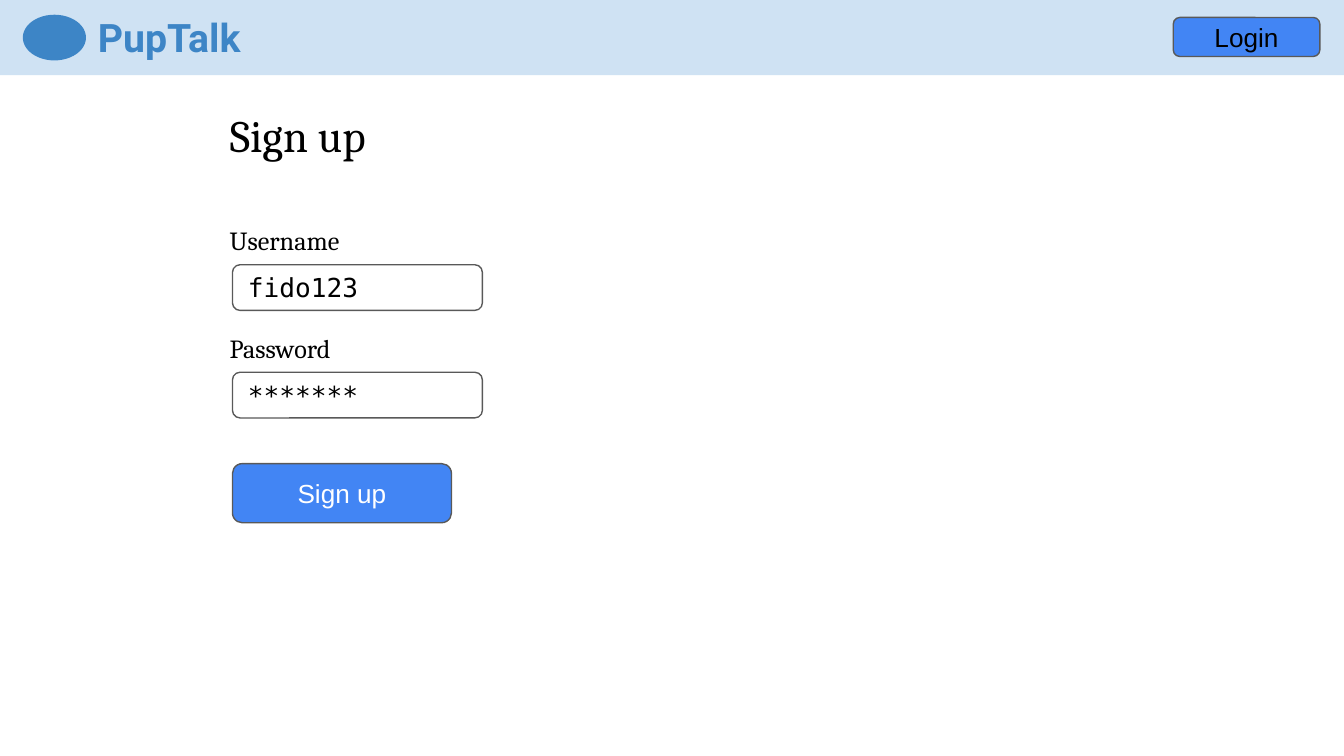
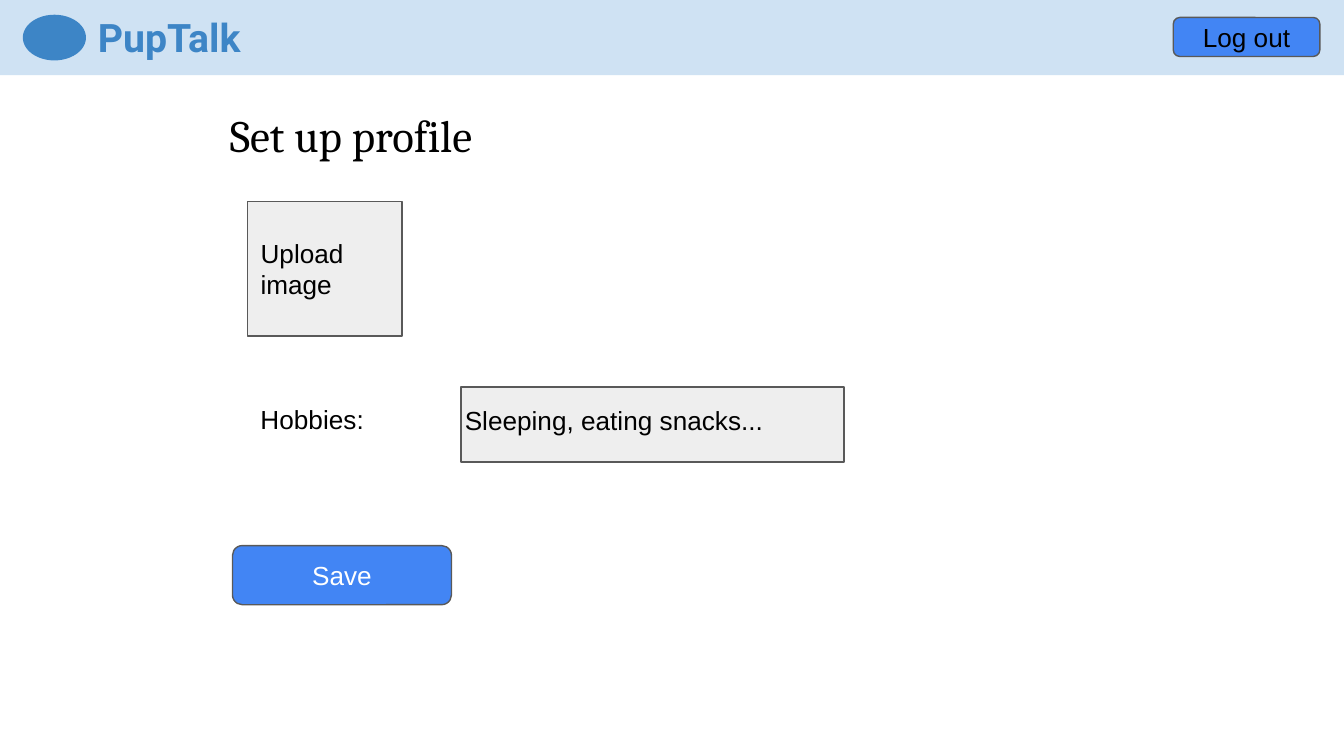
"""Build two wireframe screens of a chat site: sign up and profile set-up."""
from pptx import Presentation
from pptx.dml.color import RGBColor
from pptx.enum.shapes import MSO_SHAPE
from pptx.enum.text import MSO_ANCHOR, MSO_AUTO_SIZE, PP_ALIGN
from pptx.util import Inches, Pt

WIDTH = 10
HEIGHT = WIDTH * 9 / 16
BAND_HEIGHT = 0.56
BRAND = "PupTalk"

SIGN_UP = {
    "title": "Sign up",
    "title_width": 1.69,
    "account": "Login",
    "action": "Sign up",
    "action_top": 3.45,
    "fields": [("Username", "fido123"), ("Password", "*******")],
}
PROFILE = {
    "title": "Set up profile",
    "title_width": 3.55,
    "account": "Log out",
    "action": "Save",
    "action_top": 4.06,
    "upload": "Upload image",
    "hobbies": ("Hobbies:", "Sleeping, eating snacks..."),
}

COLORS = {
    "band": "CFE2F3",
    "brand": "3D85C6",
    "button": "4285F4",
    "outline": "595959",
    "panel": "EEEEEE",
    "white": "FFFFFF",
    "black": "000000",
}
SANS, SERIF, MONO, BRAND_FONT = "Arial", "Cambria", "DejaVu Sans Mono", "Roboto"

TEXT_LEFT, FORM_LEFT, PROFILE_LEFT = 1.61, 1.73, 1.84
LABEL_SIZE = (1.49, 0.44)
FIELD_SIZE = (1.86, 0.34)
ACTION_SIZE = (1.63, 0.44)
FIRST_LABEL_TOP, FIELD_PITCH, LABEL_TO_FIELD = 1.57, 0.8, 0.4


def color(name):
    """Return the named colour."""
    return RGBColor.from_string(COLORS[name])


def write_text(shape, text, font=SANS, size=14, ink="black", bold=False,
               align=PP_ALIGN.LEFT, anchor=MSO_ANCHOR.TOP):
    """Put formatted text into a shape."""
    frame = shape.text_frame
    frame.word_wrap = True
    frame.auto_size = MSO_AUTO_SIZE.NONE
    frame.vertical_anchor = anchor
    frame.margin_left = frame.margin_right = Inches(0.1)
    frame.margin_top = frame.margin_bottom = Inches(0.1)
    paragraph = frame.paragraphs[0]
    paragraph.alignment = align
    run = paragraph.add_run()
    run.text = text
    run.font.name = font
    run.font.size = Pt(size)
    run.font.bold = bold
    run.font.color.rgb = color(ink)


def add_label(slide, box, text, **text_format):
    """Add a text box."""
    label = slide.shapes.add_textbox(*map(Inches, box))
    write_text(label, text, **text_format)


def add_box(slide, box, fill, kind=MSO_SHAPE.RECTANGLE, outline=None,
            text=None, **text_format):
    """Add a filled shape with an optional outline and text."""
    shape = slide.shapes.add_shape(kind, *map(Inches, box))
    shape.shadow.inherit = False
    shape.fill.solid()
    shape.fill.fore_color.rgb = color(fill)
    if outline:
        shape.line.color.rgb = color(outline)
        shape.line.width = Pt(0.75)
    else:
        shape.line.fill.background()
    if text:
        write_text(shape, text, anchor=MSO_ANCHOR.MIDDLE, **text_format)


def add_rounded(slide, box, text, fill="button", **text_format):
    """Add an outlined button or input field."""
    add_box(slide, box, fill, kind=MSO_SHAPE.ROUNDED_RECTANGLE,
            outline="outline", text=text, **text_format)


def add_screen(presentation, content):
    """Add a slide with the shared header, title and action button."""
    slide = presentation.slides.add_slide(presentation.slide_layouts[5])
    add_box(slide, (0, 0, WIDTH, BAND_HEIGHT), "band")
    add_label(slide, (0.63, 0, 5.03, BAND_HEIGHT), BRAND,
              font=BRAND_FONT, size=21, ink="brand", bold=True)
    add_box(slide, (0.17, 0.11, 0.47, 0.34), "brand", kind=MSO_SHAPE.OVAL)
    add_rounded(slide, (8.73, 0.13, 1.09, 0.29), content["account"],
                align=PP_ALIGN.CENTER)
    title = slide.shapes.title
    title.left, title.top = Inches(TEXT_LEFT), Inches(0.7)
    title.width, title.height = Inches(content["title_width"]), Inches(0.61)
    write_text(title, content["title"], font=SERIF, size=24)
    add_rounded(slide, (FORM_LEFT, content["action_top"], *ACTION_SIZE),
                content["action"], ink="white", align=PP_ALIGN.CENTER)
    return slide


def add_sign_up(presentation):
    """Add the sign-up screen."""
    slide = add_screen(presentation, SIGN_UP)
    for row, (name, value) in enumerate(SIGN_UP["fields"]):
        top = FIRST_LABEL_TOP + row * FIELD_PITCH
        add_label(slide, (TEXT_LEFT, top, *LABEL_SIZE), name, font=SERIF)
        add_rounded(slide, (FORM_LEFT, top + LABEL_TO_FIELD, *FIELD_SIZE),
                    value, fill="white", font=MONO)


def add_profile(presentation):
    """Add the profile screen."""
    slide = add_screen(presentation, PROFILE)
    name, value = PROFILE["hobbies"]
    add_box(slide, (PROFILE_LEFT, 1.5, 1.15, 1), "panel", outline="outline",
            text=PROFILE["upload"])
    add_box(slide, (3.43, 2.88, 2.85, BAND_HEIGHT), "panel", outline="outline")
    add_label(slide, (PROFILE_LEFT, 2.9, 1.26, 0.44), name)
    add_label(slide, (3.36, 2.91, 5.12, 0.44), value)


def main():
    """Build and save the presentation."""
    presentation = Presentation()
    presentation.slide_width = Inches(WIDTH)
    presentation.slide_height = Inches(HEIGHT)
    add_sign_up(presentation)
    add_profile(presentation)
    presentation.save("out.pptx")


if __name__ == "__main__":
    main()
